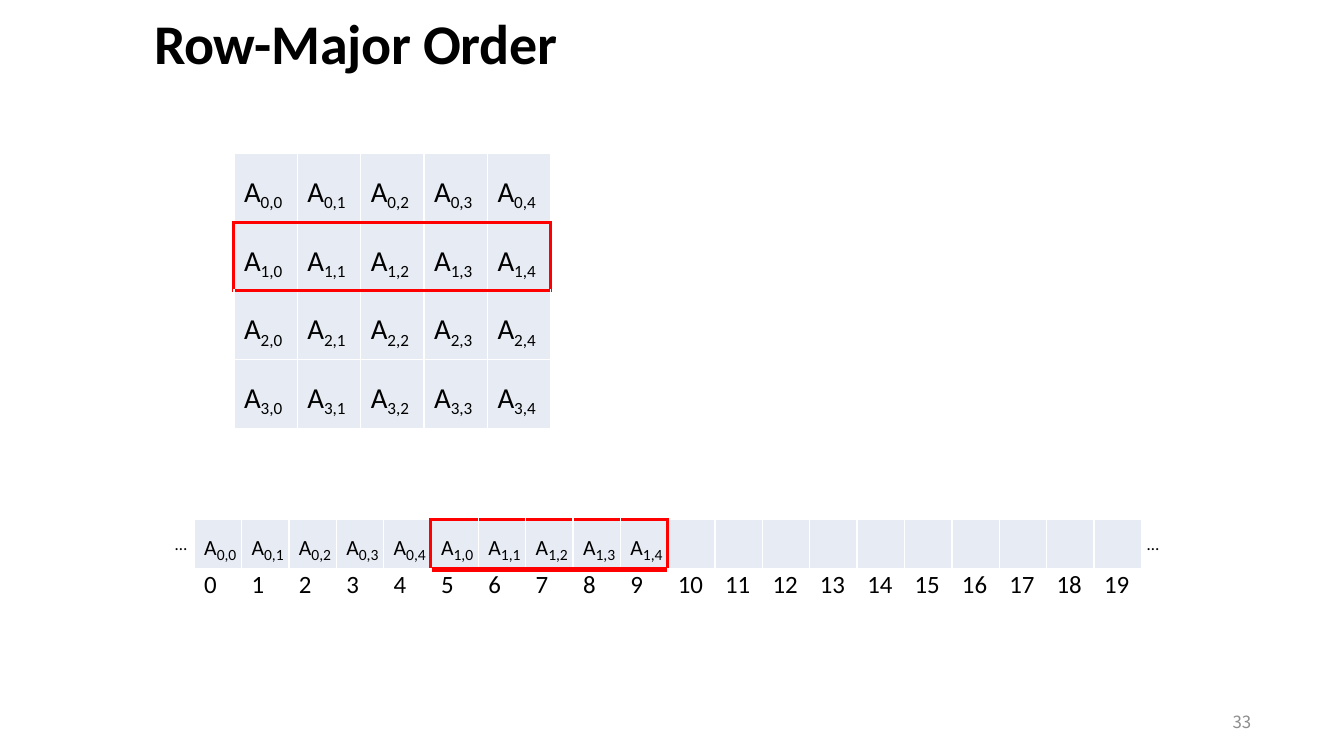
from lxml.etree import SubElement
from pptx import Presentation
from pptx.dml.color import RGBColor
from pptx.enum.text import MSO_ANCHOR, MSO_AUTO_SIZE, PP_ALIGN
from pptx.oxml.ns import qn
from pptx.util import Pt

BLACK = RGBColor(0x00, 0x00, 0x00)
WHITE = RGBColor(0xFF, 0xFF, 0xFF)
RED = RGBColor(0xFF, 0x00, 0x00)
GRAY = RGBColor(0x8C, 0x8C, 0x8C)
PALE_BLUE = RGBColor(0xE7, 0xEB, 0xF3)

FONT = "Calibri"
NUMBER_FONT = "Noto Sans CJK SC"
ROWS, COLUMNS, SLOTS = 4, 5, 20
FRAMED_ROW = 1
CELL_INDENT = 6.5
EDGE_WEIGHTS = (1, 2.25)      # plain, framed
DIVIDER_WEIGHTS = (3.16, 3.78)
SIDES = {"lnL": (0, -1), "lnR": (0, 1), "lnT": (-1, 0), "lnB": (1, 0)}


def style(font, size, color=BLACK, name=FONT, bold=False):
    font.name, font.size, font.bold = name, Pt(size), bold
    font.color.rgb = color


def clear_margins(holder):
    holder.margin_left = holder.margin_right = 0
    holder.margin_top = holder.margin_bottom = 0


def add_title(page, text, left, top, width, height):
    title = page.shapes.title
    title.left, title.top = Pt(left), Pt(top)
    title.width, title.height = Pt(width), Pt(height)
    frame = title.text_frame
    clear_margins(frame)
    frame.auto_size = MSO_AUTO_SIZE.NONE
    frame.vertical_anchor = MSO_ANCHOR.MIDDLE
    para = frame.paragraphs[0]
    span = para.add_run()
    span.text = text
    span._r.get_or_add_rPr().set("spc", "-20")
    para.alignment = PP_ALIGN.LEFT
    para.line_spacing = 0.9
    style(para.font, 36, bold=True)


def add_label(page, text, left, top, width, height, size,
              color=BLACK, name=FONT, align=PP_ALIGN.LEFT):
    box = page.shapes.add_textbox(Pt(left), Pt(top), Pt(width), Pt(height))
    frame = box.text_frame
    clear_margins(frame)
    frame.word_wrap = True
    frame.vertical_anchor = MSO_ANCHOR.MIDDLE
    para = frame.paragraphs[0]
    para.text = text
    para.alignment = align
    style(para.font, size, color, name)


def draw_edge(cell, side, color, weight):
    line = SubElement(cell._tc.get_or_add_tcPr(), qn(f"a:{side}"), w=str(Pt(weight)))
    fill = SubElement(line, qn("a:solidFill"))
    SubElement(fill, qn("a:srgbClr"), val=str(color))


def add_grid(page, rows, columns, left, top, width, height, framed,
             filled_rows, divider_weights=EDGE_WEIGHTS):
    """Add a table with white rules and a red outline around the framed cells."""
    shape = page.shapes.add_table(rows, columns, Pt(left), Pt(top), Pt(width), Pt(height))
    table = shape.table
    table.first_row = table.horz_banding = False
    for column in table.columns:
        column.width = Pt(width / columns)
    for row in range(rows):
        table.rows[row].height = Pt(height / rows)
        for column in range(columns):
            cell = table.cell(row, column)
            clear_margins(cell)
            cell.margin_left = Pt(CELL_INDENT)
            for side, (down, right) in SIDES.items():
                outlined = ((row, column) in framed) != ((row + down, column + right) in framed)
                divides = down and 0 <= row + down < rows
                weights = divider_weights if divides else EDGE_WEIGHTS
                draw_edge(cell, side, RED if outlined else WHITE, weights[outlined])
            if row < filled_rows:
                cell.fill.solid()
                cell.fill.fore_color.rgb = PALE_BLUE
            else:
                cell.fill.background()
    return table


def write_element(cell, row, column, letter_size, index_size, drop):
    """Write a matrix element: a raised letter A followed by small indices."""
    cell.margin_top = Pt(drop)
    para = cell.text_frame.paragraphs[0]
    for text, size in (("A", letter_size), (f"{row},{column}", index_size)):
        span = para.add_run()
        span.text = text
        style(span.font, size)
    para.runs[0]._r.get_or_add_rPr().set("baseline", "13000")


def add_matrix(page, left, top, width, height):
    framed = {(FRAMED_ROW, column) for column in range(COLUMNS)}
    table = add_grid(page, ROWS, COLUMNS, left, top, width, height, framed, ROWS)
    for row in range(ROWS):
        for column in range(COLUMNS):
            write_element(table.cell(row, column), row, column, 32, 11, 5)


def add_memory(page, left, top, width, height):
    """Add the linear storage with its slot numbers and an ellipsis at each end."""
    for offset in (-12.3, width + 3.6):
        add_label(page, "…", left + offset, top + 8.6, 12.5, 13.5, 11)
    start = FRAMED_ROW * COLUMNS
    framed = {(0, slot) for slot in range(start, start + COLUMNS)}
    table = add_grid(page, 2, SLOTS, left, top, width, height, framed, 1, DIVIDER_WEIGHTS)
    for slot in range(SLOTS):
        row, column = divmod(slot, COLUMNS)
        if row <= FRAMED_ROW:
            write_element(table.cell(0, slot), row, column, 24, 10, 3.5)
        para = table.cell(1, slot).text_frame.paragraphs[0]
        para.text = str(slot)
        style(para.font, 16)


def main():
    deck = Presentation()
    deck.slide_width, deck.slide_height = Pt(864), Pt(486)
    page = deck.slides.add_slide(deck.slide_layouts[5])
    add_title(page, "Row-Major Order", 99, 10, 300, 40)
    add_matrix(page, 150.4, 98.8, 203.8, 144.8)
    add_memory(page, 124.8, 334, 609, 63)
    add_label(page, "33", 610, 451, 194.4, 26, 10.8, GRAY, NUMBER_FONT, PP_ALIGN.RIGHT)
    deck.save("out.pptx")


if __name__ == "__main__":
    main()
